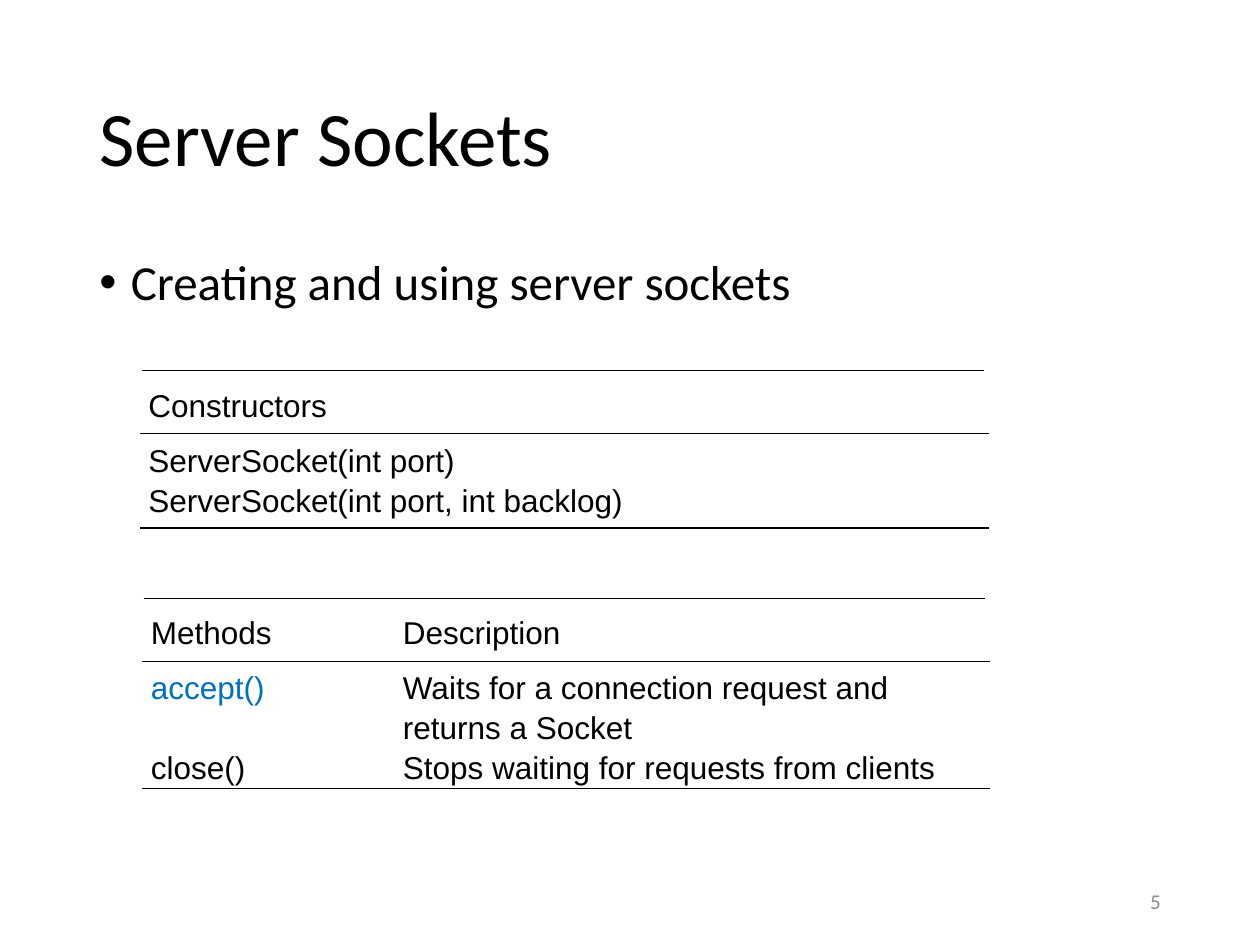
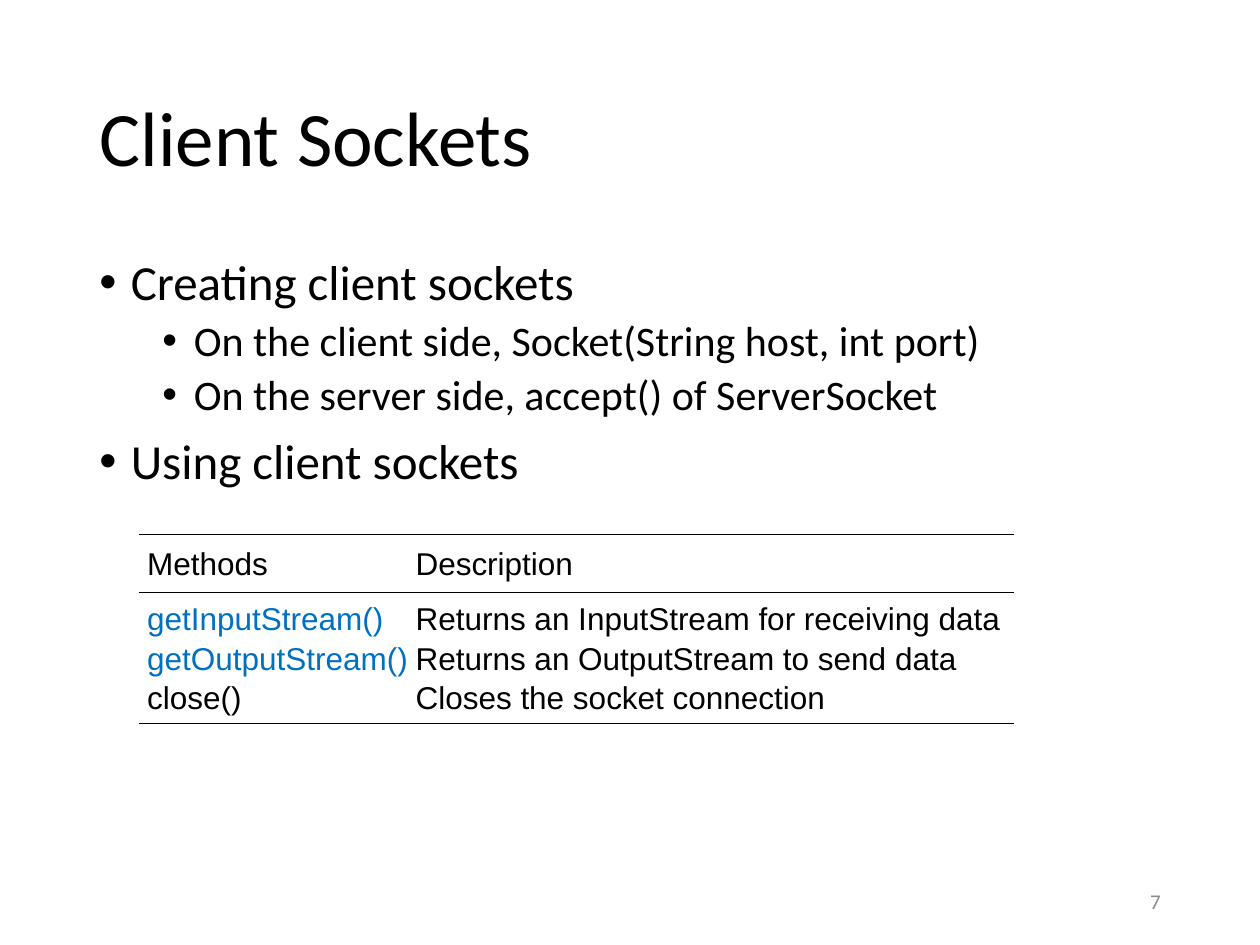
import pptx
import pptx.dml.color
import pptx.enum.shapes
import pptx.enum.text
import pptx.oxml
import pptx.oxml.ns
import pptx.util
from lxml import etree

Inches = pptx.util.Inches
Align = pptx.enum.text.PP_ALIGN
Anchor = pptx.enum.text.MSO_ANCHOR
BLACK, BLUE, GRAY = "000000", "0070C0", "8C8C8C"
LEFT, WIDTH = 0.69, 8.62


def color(value):
    return pptx.dml.color.RGBColor.from_string(value)


def write(paragraph, text, size=18, font="Calibri", fill=BLACK, spacing=None, before=0, after=0, align=Align.LEFT):
    run = paragraph.add_run()
    run.text = text
    run.font.size = pptx.util.Pt(size)
    run.font.name = font
    run.font.color.rgb = color(fill)
    paragraph.alignment = align
    paragraph.space_before = pptx.util.Pt(before)
    paragraph.space_after = pptx.util.Pt(after)
    if spacing:
        paragraph.line_spacing = spacing


def indent(paragraph, left, first):
    properties = paragraph._p.get_or_add_pPr()
    properties.set("marL", str(Inches(left)))
    properties.set("indent", str(Inches(first)))
    return properties


class Deck:
    """Holds the shared style and the slide being built."""

    def __init__(self):
        self.presentation = pptx.Presentation()
        self.presentation.slide_width = Inches(10)
        self.presentation.slide_height = Inches(7.5)
        self.slide = None

    def add_slide(self, title, number):
        self.slide = self.presentation.slides.add_slide(self.presentation.slide_layouts[5])
        shape = self.slide.shapes.title
        shape.left, shape.top, shape.width, shape.height = map(Inches, (LEFT, 0.4, WIDTH, 1.45))
        shape.text_frame.vertical_anchor = Anchor.MIDDLE
        write(shape.text_frame.paragraphs[0], title, size=44, spacing=0.9)
        frame = self.text_box(7.06, 6.95, 2.25, 0.4, Anchor.MIDDLE)
        write(frame.paragraphs[0], str(number), size=12, fill=GRAY, align=Align.RIGHT)

    def text_box(self, left, top, width, height, anchor=Anchor.TOP):
        frame = self.slide.shapes.add_textbox(*map(Inches, (left, top, width, height))).text_frame
        frame.word_wrap = True
        frame.vertical_anchor = anchor
        return frame

    def bullets(self, height, items):
        frame = self.text_box(LEFT, 2, WIDTH, height)
        for position, (level, text) in enumerate(items):
            paragraph = frame.add_paragraph() if position else frame.paragraphs[0]
            paragraph.level = level
            write(paragraph, text, size=28 - 4 * level, spacing=0.9, before=10 - 5 * level)
            properties = indent(paragraph, 0.25 + 0.5 * level, -0.25)
            font = etree.SubElement(properties, pptx.oxml.ns.qn("a:buFont"))
            font.set("typeface", "Arial")
            mark = etree.SubElement(properties, pptx.oxml.ns.qn("a:buChar"))
            mark.set("char", "•")

    def rule(self, left, right, top):
        line = self.slide.shapes.add_connector(
            pptx.enum.shapes.MSO_CONNECTOR.STRAIGHT,
            Inches(left), Inches(top), Inches(right), Inches(top))
        line.line.color.rgb = color(BLACK)
        line.line.width = pptx.util.Pt(0.75)
        etree.SubElement(line._element.spPr, pptx.oxml.ns.qn("a:effectLst"))

    def reference(self, box, rows, rules, column=0, highlighted=()):
        frame = self.text_box(*box)
        for position, cells in enumerate(rows):
            paragraph = frame.add_paragraph() if position else frame.paragraphs[0]
            indent(paragraph, column, -column)
            for place, cell in enumerate(cells):
                write(paragraph, "\t" + cell if place else cell, font="Arial",
                      fill=BLUE if cell in highlighted else BLACK,
                      spacing=1.05, after=0 if position else 9)
        for left, right, top in rules:
            self.rule(left, right, top)


def main():
    deck = Deck()
    deck.add_slide("Server Sockets", 5)
    deck.bullets(0.61, [(0, "Creating and using server sockets")])
    deck.reference(
        (1.08, 3, 6.76, 1.14),
        [("Constructors",), ("ServerSocket(int port)",), ("ServerSocket(int port, int backlog)",)],
        [(1.13, 7.81, 2.94), (1.11, 7.85, 3.44), (1.11, 7.85, 4.19)])
    deck.reference(
        (1.1, 4.8, 6.76, 1.44),
        [("Methods", "Description"),
         ("accept()", "Waits for a connection request and returns a Socket"),
         ("close()", "Stops waiting for requests from clients")],
        [(1.14, 7.82, 4.75), (1.13, 7.86, 5.25), (1.13, 7.86, 6.26)],
        column=2, highlighted=("accept()",))

    deck.add_slide("Client Sockets", 7)
    deck.bullets(2, [
        (0, "Creating client sockets"),
        (1, "On the client side, Socket(String host, int port)"),
        (1, "On the server side, accept() of ServerSocket"),
        (0, "Using client sockets")])
    deck.reference(
        (1.07, 4.25, 7.06, 1.44),
        [("Methods", "Description"),
         ("getInputStream()", "Returns an InputStream for receiving data"),
         ("getOutputStream()", "Returns an OutputStream to send data"),
         ("close()", "Closes the socket connection")],
        [(1.1, 8.05, top) for top in (4.24, 4.7, 5.74)],
        column=2.13, highlighted=("getInputStream()", "getOutputStream()"))
    deck.presentation.save("out.pptx")


if __name__ == "__main__":
    main()
